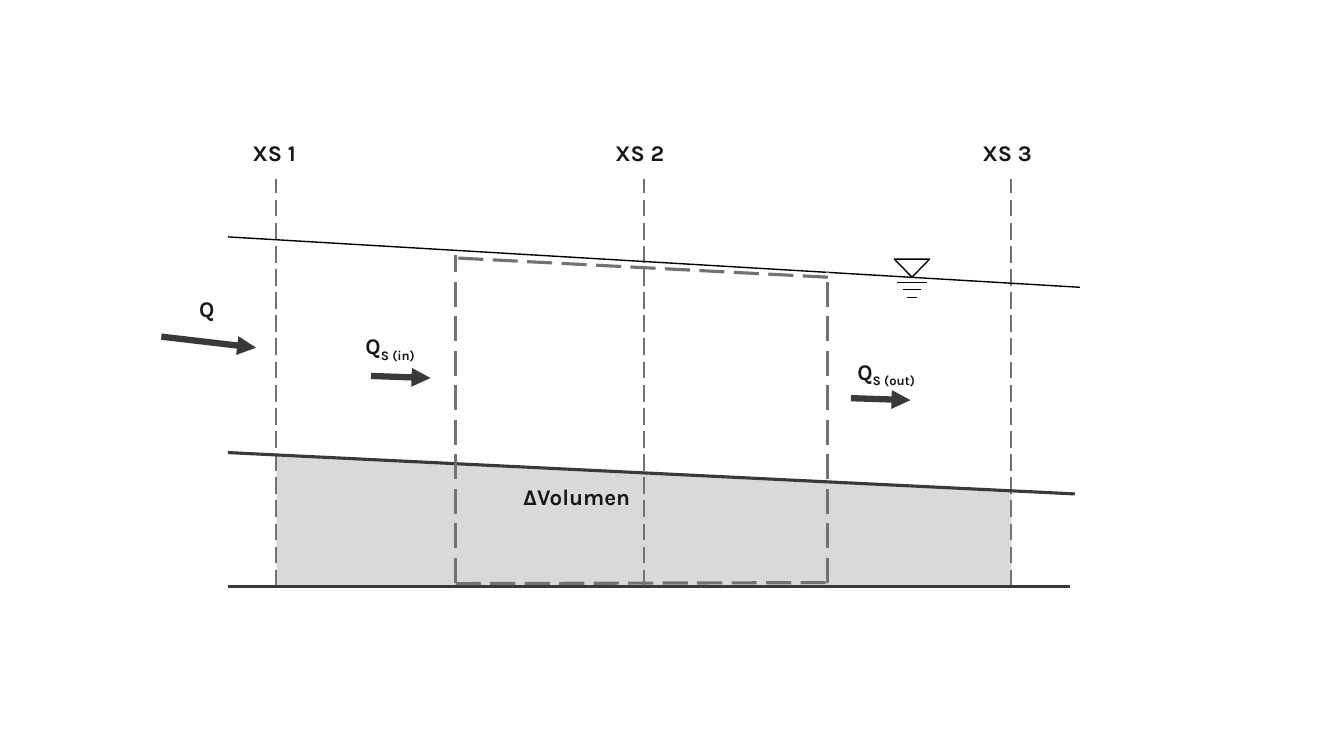
from dataclasses import dataclass

from lxml.etree import SubElement
from pptx import Presentation
from pptx.dml.color import RGBColor
from pptx.enum.dml import MSO_LINE_DASH_STYLE as Dash
from pptx.enum.shapes import MSO_CONNECTOR as Connector, MSO_SHAPE as Shape
from pptx.enum.text import MSO_ANCHOR as Anchor, PP_ALIGN as Align
from pptx.oxml.ns import qn
from pptx.util import Inches, Pt


@dataclass(frozen=True)
class Theme:
    font: str = "Karla"
    label_size: float = 16
    ink: str = "181717"
    solid: str = "3B3838"
    dashed: str = "767171"
    water: str = "000000"
    sediment: str = "D9D9D9"
    thin: float = 1
    medium: float = 1.5
    thick: float = 2.25
    flow: float = 4.5


@dataclass(frozen=True)
class Box:
    left: float
    top: float
    width: float
    height: float

    @property
    def right(self):
        return self.left + self.width

    @property
    def bottom(self):
        return self.top + self.height

    @property
    def center(self):
        return self.left + self.width / 2


THEME = Theme()
LABEL_WIDTH, LABEL_HEIGHT = 1.42, 0.37


def color(code):
    return RGBColor.from_string(code)


def draw_line(slide, start, end, stroke, weight, dashed=False, arrow=False):
    line = slide.shapes.add_connector(
        Connector.STRAIGHT, *(Inches(value) for value in (*start, *end)))
    line.line.color.rgb = color(stroke)
    line.line.width = Pt(weight)
    if dashed:
        line.line.dash_style = Dash.LONG_DASH
    properties = line._element.spPr
    if arrow:
        SubElement(properties.find(qn("a:ln")), qn("a:tailEnd"), type="triangle")
    SubElement(properties, qn("a:effectLst"))


def add_label(slide, center, top, text, subscript=""):
    label = slide.shapes.add_textbox(
        Inches(center - LABEL_WIDTH / 2), Inches(top),
        Inches(LABEL_WIDTH), Inches(LABEL_HEIGHT))
    frame = label.text_frame
    frame.word_wrap = True
    frame.vertical_anchor = Anchor.TOP
    paragraph = frame.paragraphs[0]
    paragraph.alignment = Align.CENTER
    paragraph.font.name = THEME.font
    paragraph.font.size = Pt(THEME.label_size)
    paragraph.font.bold = True
    paragraph.font.color.rgb = color(THEME.ink)
    paragraph.add_run().text = text
    if subscript:
        index = paragraph.add_run()
        index.text = subscript
        index._r.get_or_add_rPr().set("baseline", "-25000")


def add_sediment(slide, box, bed_drop):
    """Wedge between the sloping bed and the level base."""
    outline = slide.shapes.build_freeform(
        Inches(box.left), Inches(box.top), scale=1.0)
    corners = [(box.right, box.top + bed_drop), (box.right, box.bottom),
               (box.left, box.bottom)]
    outline.add_line_segments([(Inches(x), Inches(y)) for x, y in corners])
    sediment = outline.convert_to_shape()
    sediment.shadow.inherit = False
    sediment.fill.solid()
    sediment.fill.fore_color.rgb = color(THEME.sediment)
    sediment.line.fill.background()


def add_cross_sections(slide, box, count=3):
    """Evenly spaced dashed verticals, each with its name above."""
    for number in range(count):
        x = box.left + box.width * number / (count - 1)
        draw_line(slide, (x, box.bottom), (x, box.top),
                  THEME.dashed, THEME.medium, dashed=True)
        add_label(slide, x - 0.04 + 0.02 * (number == 0), box.top - 0.45,
                  f"XS {number + 1}")


def add_channel(slide, box):
    """Water surface, river bed and base line."""
    x, y = box.left, box.top
    draw_line(slide, (x, y + 2.14), (x + 8.4, y + 2.55), THEME.solid, THEME.thick)
    draw_line(slide, (x, y), (box.right, y + 0.5), THEME.water, THEME.thin)
    draw_line(slide, (x, box.bottom), (x + 8.35, box.bottom),
              THEME.solid, THEME.thick)


def add_water_mark(slide, box):
    """Inverted triangle above three shrinking strokes."""
    triangle = slide.shapes.add_shape(
        Shape.ISOSCELES_TRIANGLE, Inches(box.left), Inches(box.top),
        Inches(box.width), Inches(0.18))
    triangle.rotation = 180
    triangle.shadow.inherit = False
    triangle.fill.background()
    triangle.line.color.rgb = color(THEME.water)
    triangle.line.width = Pt(THEME.thin)
    for step, length in enumerate((0.3, 0.18, 0.1)):
        y = box.bottom - 0.15 + 0.075 * step
        draw_line(slide, (box.center - length / 2, y),
                  (box.center + length / 2, y), THEME.water, THEME.thin)


def add_control_volume(slide, box):
    """Dashed frame whose top follows the water surface."""
    sides = [
        ((box.left, box.bottom), (box.left, box.top)),
        ((box.right, box.bottom), (box.right, box.top + 0.17)),
        ((box.right, box.top + 0.22), (box.left + 0.02, box.top + 0.03)),
        ((box.left, box.bottom + 0.01), (box.right, box.bottom)),
    ]
    for start, end in sides:
        draw_line(slide, start, end, THEME.dashed, THEME.thick, dashed=True)
    add_label(slide, box.left + 1.2, box.bottom - 1.04, "ΔVolumen")


def add_flow(slide, box, label_center, label_top, text, subscript=""):
    """Arrow across the box, with its label."""
    draw_line(slide, (box.left, box.top), (box.right, box.bottom),
              THEME.solid, THEME.flow, arrow=True)
    add_label(slide, label_center, label_top, text, subscript)


def build_sediment_balance(slide):
    add_sediment(slide, Box(2.74, 4.51, 7.29, 1.31), bed_drop=0.36)
    add_cross_sections(slide, Box(2.74, 1.78, 7.29, 4.04))
    add_channel(slide, Box(2.26, 2.35, 8.45, 3.47))
    add_water_mark(slide, Box(8.87, 2.57, 0.35, 0.38))
    add_control_volume(slide, Box(4.52, 2.53, 3.69, 3.25))
    add_flow(slide, Box(1.6, 3.34, 0.94, 0.11), 2.05, 2.88, "Q")
    add_flow(slide, Box(3.68, 3.73, 0.59, 0.02), 3.87, 3.25, "Q", "S (in)")
    add_flow(slide, Box(8.44, 3.95, 0.59, 0.02), 8.79, 3.5, "Q", "S (out)")


def main():
    deck = Presentation()
    deck.slide_width, deck.slide_height = Inches(13.33), Inches(7.5)
    build_sediment_balance(deck.slides.add_slide(deck.slide_layouts[6]))
    deck.save("out.pptx")


if __name__ == "__main__":
    main()
